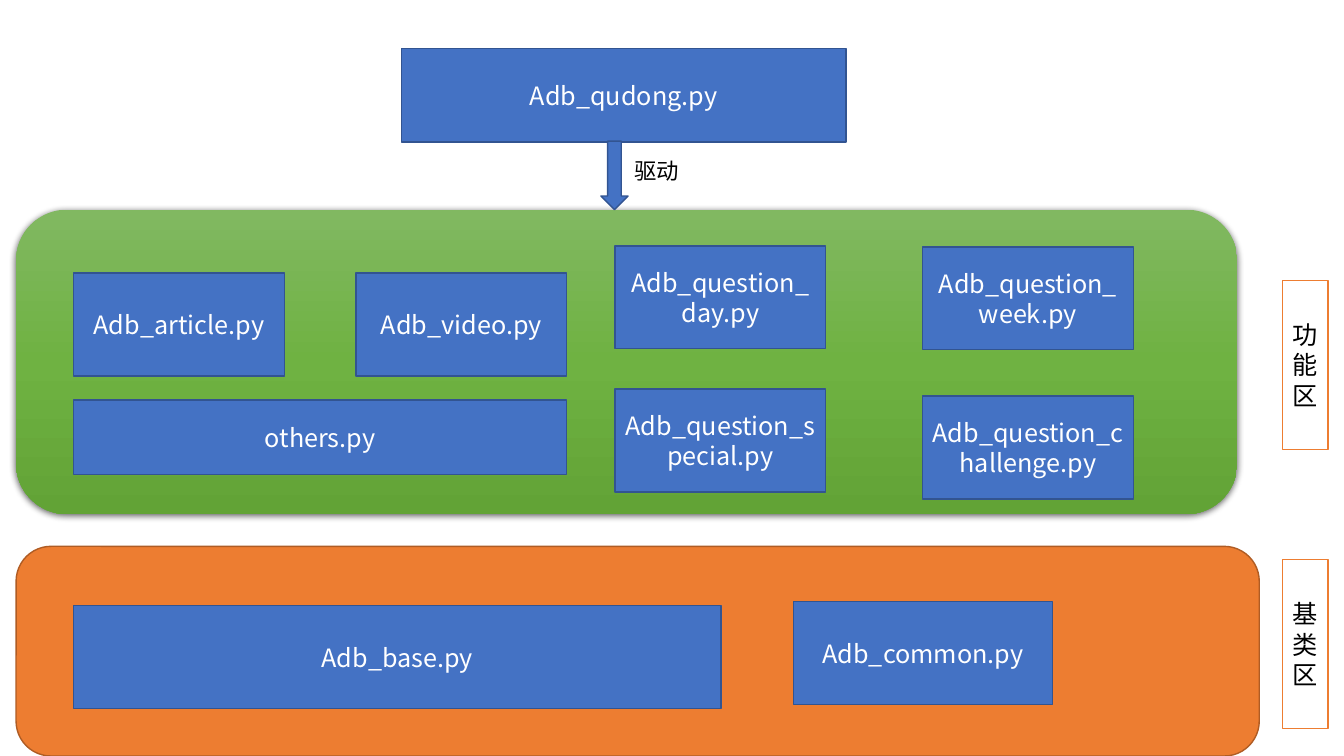
from lxml import etree
from pptx import Presentation
from pptx.dml.color import RGBColor
from pptx.enum.shapes import MSO_SHAPE
from pptx.enum.text import MSO_ANCHOR, PP_ALIGN
from pptx.oxml import parse_xml
from pptx.oxml.ns import nsdecls, qn
from pptx.util import Inches, Pt

FONT = "Noto Sans CJK SC"
BLUE = RGBColor(0x44, 0x72, 0xC4)
DARK_BLUE = RGBColor(0x32, 0x54, 0x91)
ORANGE = RGBColor(0xED, 0x7D, 0x31)
DARK_ORANGE = RGBColor(0xAF, 0x5C, 0x24)
WHITE = RGBColor(0xFF, 0xFF, 0xFF)
BLACK = RGBColor(0x00, 0x00, 0x00)

deck = Presentation()
deck.slide_width = Inches(13.33)
deck.slide_height = Inches(7.5)
page = deck.slides.add_slide(deck.slide_layouts[6])


def add_block(kind, left, top, width, height, fill, line):
    block = page.shapes.add_shape(
        kind, Inches(left), Inches(top), Inches(width), Inches(height))
    block.shadow.inherit = False
    block.fill.solid()
    block.fill.fore_color.rgb = fill
    block.line.color.rgb = line
    block.line.width = Pt(1)
    return block


def write_text(box, text, size, color, align):
    frame = box.text_frame
    frame.word_wrap = True
    frame.text = text
    para = frame.paragraphs[0]
    para.alignment = align
    span = para.runs[0]
    span.font.size = Pt(size)
    span.font.name = FONT
    span.font.color.rgb = color
    # East Asian typeface follows the Latin one
    latin = span.font._element.find(qn("a:latin"))
    east_asian = etree.Element(qn("a:ea"))
    east_asian.set("typeface", FONT)
    latin.addnext(east_asian)


# Base class area
add_block(MSO_SHAPE.ROUNDED_RECTANGLE, 0.16, 5.42, 12.33, 2.08, ORANGE, DARK_ORANGE)

# Function area: green gradient with a soft shadow below
function_area = add_block(
    MSO_SHAPE.ROUNDED_RECTANGLE, 0.16, 2.08, 12.11, 3.02, WHITE, WHITE)
function_area.line.fill.background()
properties = function_area._element.spPr
stops = "".join(
    f'<a:gs pos="{position * 1000}"><a:srgbClr val="{color}"/></a:gs>'
    for position, color in ((0, "81B861"), (50, "6FB242"), (100, "62A336")))
gradient = parse_xml(
    f'<a:gradFill {nsdecls("a")} rotWithShape="1"><a:gsLst>{stops}</a:gsLst>'
    '<a:lin ang="5400000" scaled="0"/></a:gradFill>')
properties.replace(properties.find(qn("a:solidFill")), gradient)
properties.find(qn("a:effectLst")).append(parse_xml(
    f'<a:outerShdw {nsdecls("a")} blurRad="{Pt(4.5)}" dist="{Pt(1.5)}" dir="5400000" '
    'algn="ctr" rotWithShape="0"><a:srgbClr val="000000"><a:alpha val="63000"/>'
    '</a:srgbClr></a:outerShdw>'))

# Modules
MODULES = [
    ("Adb_base.py", 0.73, 6.01, 6.42, 1.02),
    ("Adb_common.py", 7.87, 5.97, 2.57, 1.02),
    ("Adb_article.py", 0.73, 2.71, 2.09, 1.02),
    ("Adb_video.py", 3.53, 2.71, 2.09, 1.02),
    ("Adb_question_day.py", 6.1, 2.44, 2.09, 1.02),
    ("Adb_question_week.py", 9.15, 2.45, 2.09, 1.02),
    ("Adb_question_special.py", 6.1, 3.86, 2.09, 1.02),
    ("Adb_question_challenge.py", 9.15, 3.93, 2.09, 1.02),
    ("others.py", 0.73, 3.97, 4.89, 0.74),
    ("Adb_qudong.py", 3.98, 0.48, 4.41, 0.93),
]
for name, left, top, width, height in MODULES:
    module = add_block(MSO_SHAPE.RECTANGLE, left, top, width, height, BLUE, DARK_BLUE)
    module.text_frame.vertical_anchor = MSO_ANCHOR.MIDDLE
    write_text(module, name, 18, WHITE, PP_ALIGN.CENTER)

# Driver arrow and its caption
caption = page.shapes.add_textbox(Inches(6.19), Inches(1.51), Inches(0.73), Inches(0.37))
write_text(caption, "驱动", 16, BLACK, PP_ALIGN.LEFT)
add_block(MSO_SHAPE.DOWN_ARROW, 5.96, 1.4, 0.27, 0.68, BLUE, DARK_BLUE)

# Area labels, one character wide
for name, top in (("功能区", 2.78), ("基类区", 5.55)):
    label = add_block(MSO_SHAPE.RECTANGLE, 12.72, top, 0.45, 1.68, WHITE, ORANGE)
    label.text_frame.vertical_anchor = MSO_ANCHOR.MIDDLE
    write_text(label, name, 18, BLACK, PP_ALIGN.CENTER)

deck.save("out.pptx")
